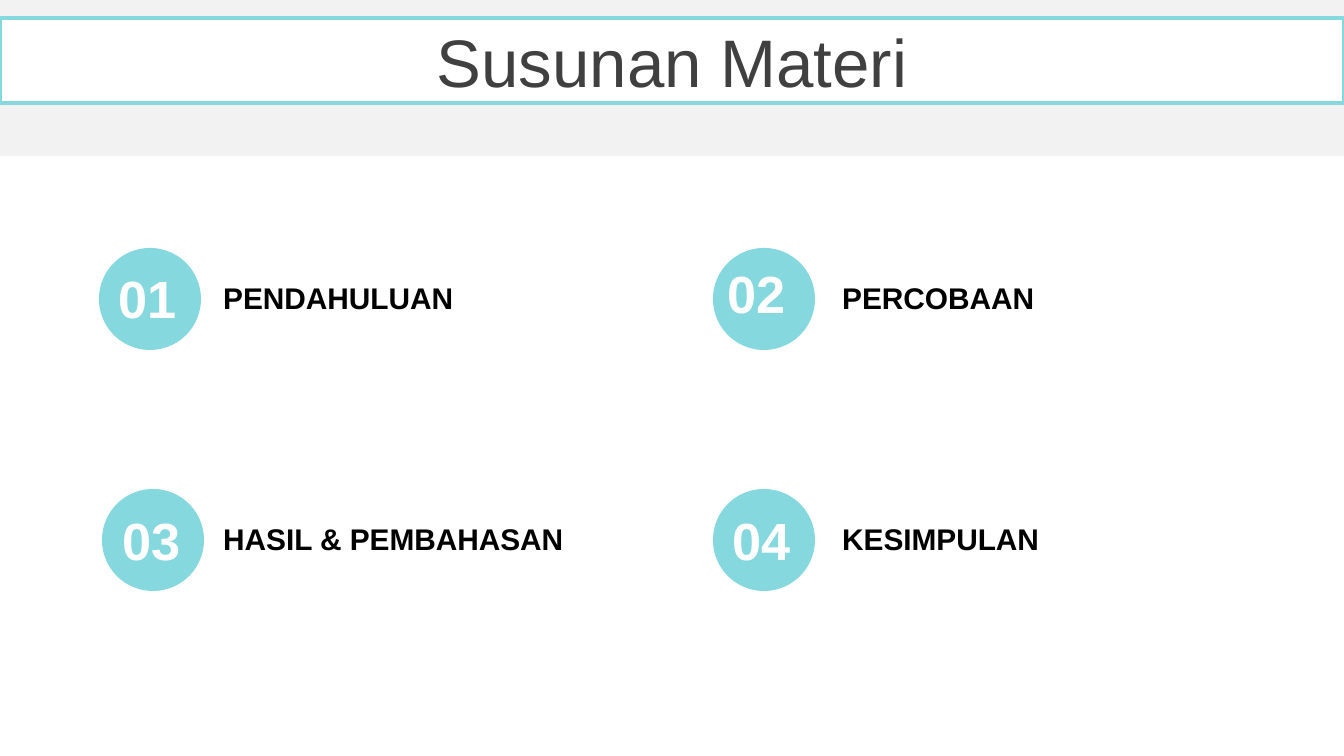
from pptx import Presentation
from pptx.dml.color import RGBColor
from pptx.enum.shapes import MSO_SHAPE as Shape
from pptx.enum.text import MSO_ANCHOR as Anchor, MSO_AUTO_SIZE as AutoSize, PP_ALIGN as Align
from pptx.util import Pt

# Content: number, topic, circle left, number offset inside the circle
HEADING = "Susunan Materi"
TOPICS = [
    ("01", "PENDAHULUAN", 99, (6, 18)),
    ("02", "PERCOBAAN", 713, (1, 13)),
    ("03", "HASIL & PEMBAHASAN", 102, (7, 19)),
    ("04", "KESIMPULAN", 713, (6, 19)),
]

TEAL = RGBColor(0x85, 0xD8, 0xDE)
BAND_GRAY = RGBColor(0xF2, 0xF2, 0xF2)
HEADING_GRAY = RGBColor(0x40, 0x40, 0x40)
WHITE = RGBColor(0xFF, 0xFF, 0xFF)
BLACK = RGBColor(0, 0, 0)
FONT = "Arial"

# Layout in px
WIDTH, HEIGHT = 1344, 756
CIRCLE = 102
CIRCLE_TOP, ROW_STEP = 248, 241
LABEL_LEFT, LABEL_STEP = 210, 619
LABEL_DROP = 25


def px(length):
    return round(length * 914400 / 134.4)


def box(left, top, width, height):
    return [px(n) for n in (left, top, width, height)]


def add_filled(slide, kind, place, color):
    shape = slide.shapes.add_shape(kind, *box(*place))
    shape.shadow.inherit = False
    shape.fill.solid()
    shape.fill.fore_color.rgb = color
    shape.line.fill.background()
    return shape


def write(frame, text, size, color, bold):
    frame.text = text
    frame.word_wrap = True
    frame.vertical_anchor = Anchor.MIDDLE
    font = frame.paragraphs[0].runs[0].font
    font.name, font.size, font.bold = FONT, Pt(size), bold
    font.color.rgb = color


def add_text(slide, place, text, size, color):
    frame = slide.shapes.add_textbox(*box(*place)).text_frame
    write(frame, text, size, color, True)
    frame.auto_size = AutoSize.SHAPE_TO_FIT_TEXT
    return frame


def main():
    deck = Presentation()
    deck.slide_width, deck.slide_height = px(WIDTH), px(HEIGHT)
    slide = deck.slides.add_slide(deck.slide_layouts[5])

    # Heading over the gray band
    band = add_filled(slide, Shape.RECTANGLE, (0, 0, WIDTH, 156), BAND_GRAY)
    heading = slide.shapes.title
    heading._element.addprevious(band._element)
    heading.left, heading.top, heading.width, heading.height = box(0, 18, WIDTH, 85)
    heading.fill.solid()
    heading.fill.fore_color.rgb = WHITE
    heading.line.color.rgb = TEAL
    heading.line.width = Pt(2)
    write(heading.text_frame, HEADING, 36, HEADING_GRAY, False)
    heading.text_frame.auto_size = AutoSize.NONE
    heading.text_frame.paragraphs[0].alignment = Align.CENTER
    heading.text_frame.paragraphs[0].space_before = Pt(7)

    # Numbered topics, two per row
    for index, (number, topic, left, (dx, dy)) in enumerate(TOPICS):
        row, column = divmod(index, 2)
        top = CIRCLE_TOP + row * ROW_STEP
        add_filled(slide, Shape.OVAL, (left, top, CIRCLE, CIRCLE), TEAL)
        numeral = add_text(slide, (left + dx, top + dy, 89, 63), number, 28, WHITE)
        numeral.margin_top = numeral.margin_bottom = 0
        label_left = LABEL_LEFT + column * LABEL_STEP
        add_text(slide, (label_left, top + LABEL_DROP, 431, 50), topic, 16, BLACK)

    deck.save("out.pptx")


if __name__ == "__main__":
    main()
